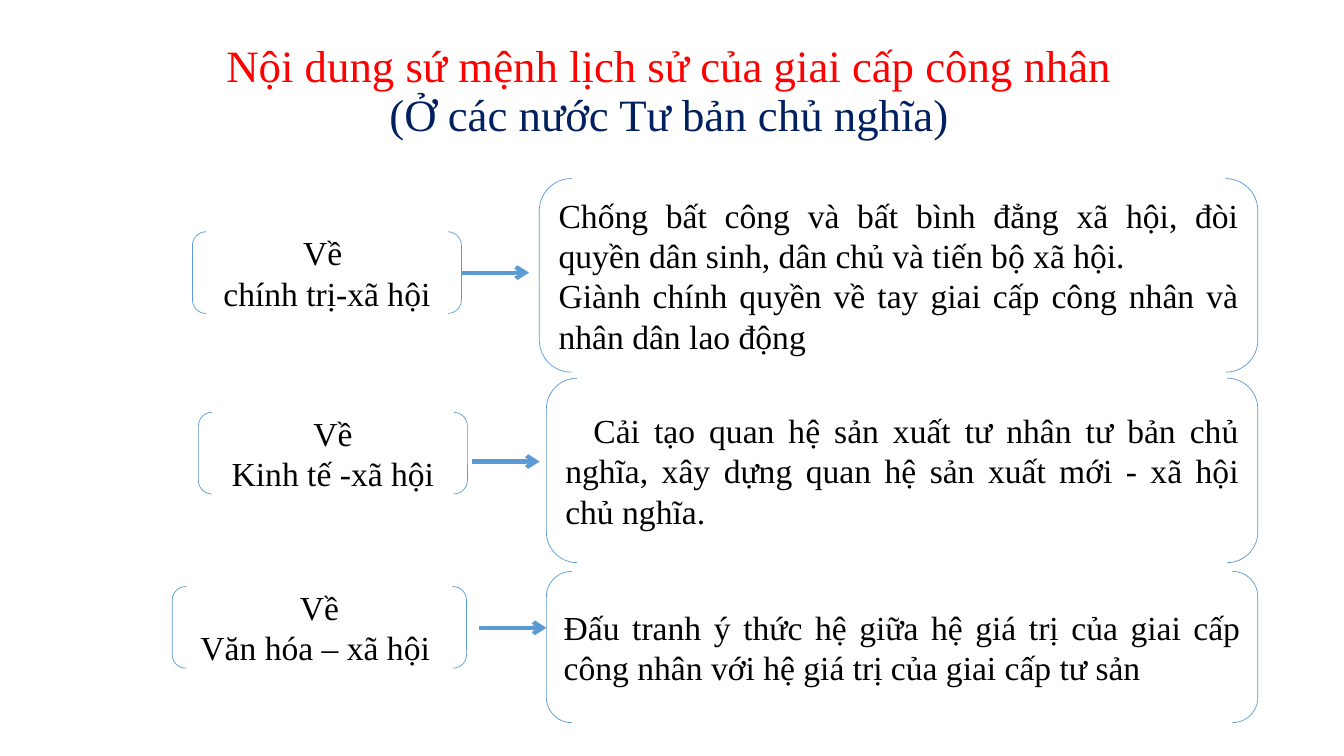
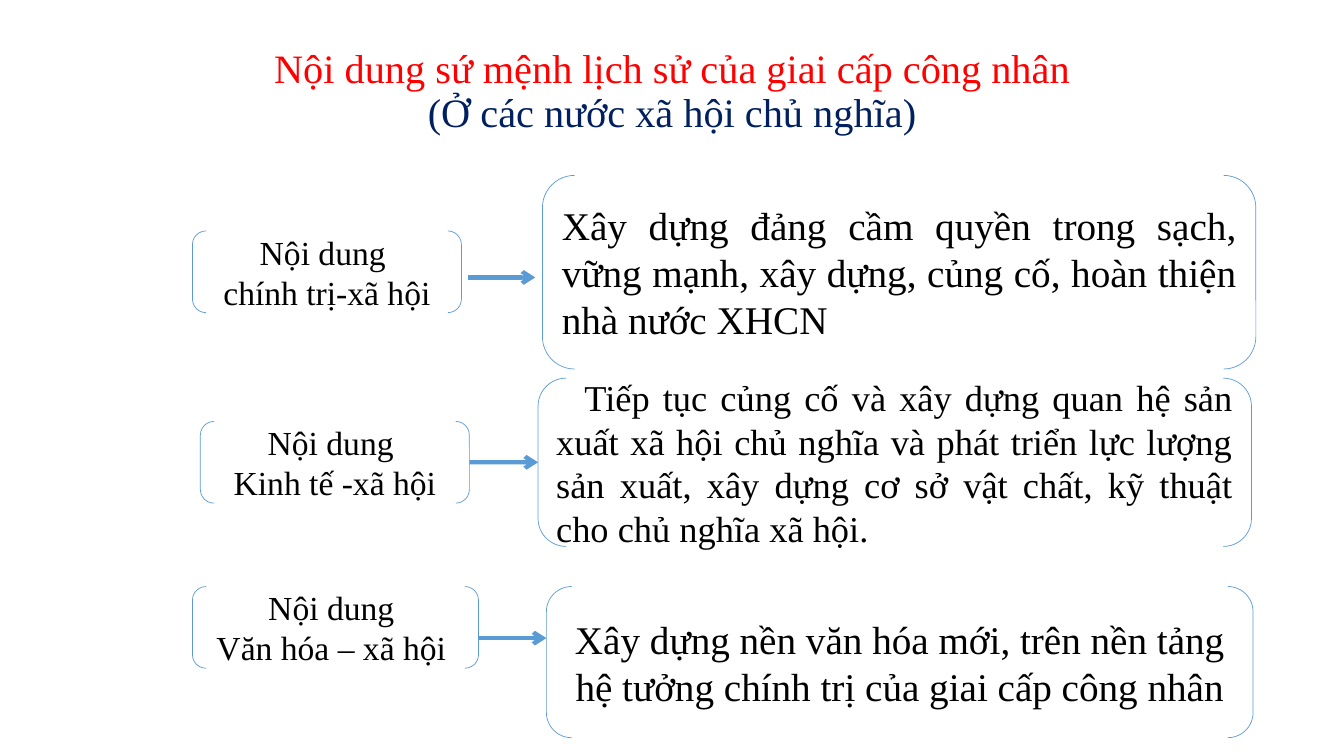
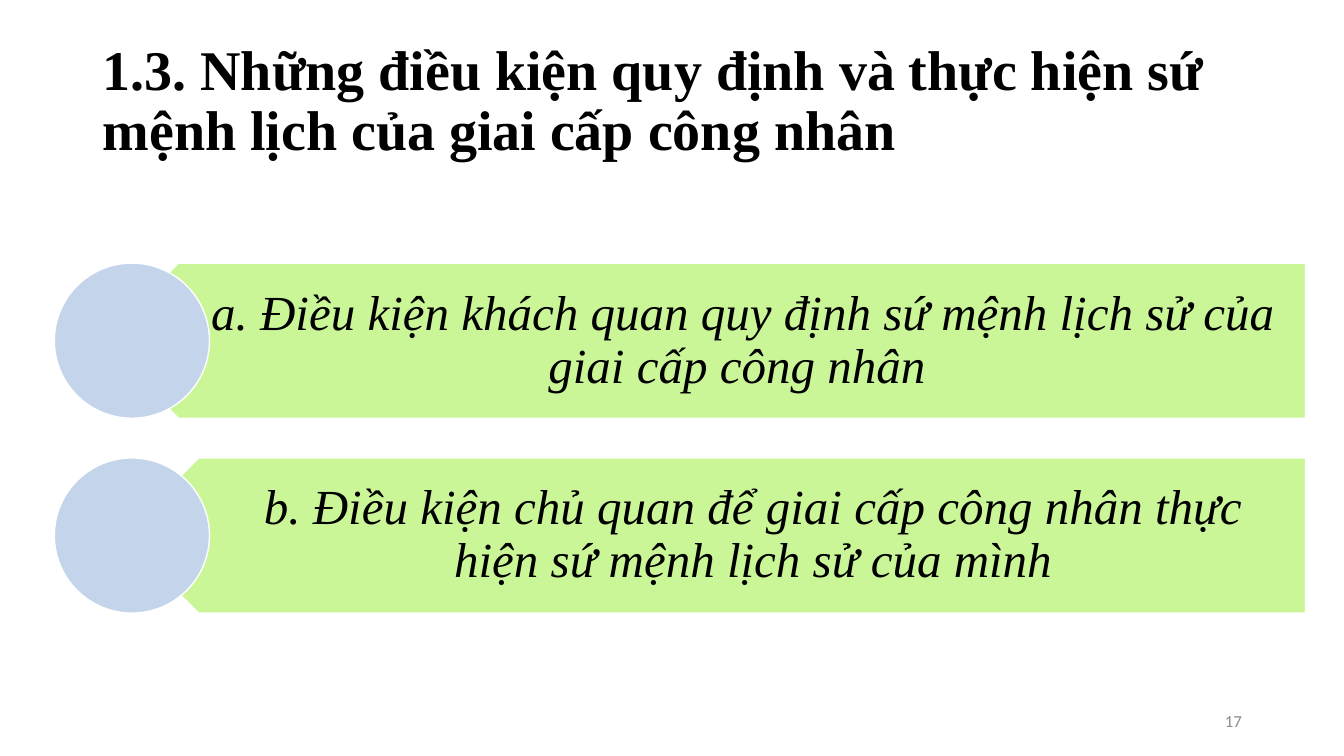
from itertools import zip_longest

from pptx import Presentation
from pptx.dml.color import RGBColor
from pptx.enum.shapes import MSO_CONNECTOR, MSO_SHAPE
from pptx.enum.text import MSO_ANCHOR, PP_ALIGN
from pptx.oxml.ns import qn
from pptx.util import Cm, Pt
from lxml import etree

RED = RGBColor(0xFF, 0x00, 0x00)
NAVY = RGBColor(0x00, 0x20, 0x60)
BLACK = RGBColor(0x00, 0x00, 0x00)
BLUE = RGBColor(0x5B, 0x9B, 0xD5)
GREEN = RGBColor(0xCB, 0xF6, 0x98)
PALE_BLUE = RGBColor(0xC4, 0xD5, 0xEB)
GRAY = RGBColor(0x8C, 0x8C, 0x8C)
WHITE = RGBColor(0xFF, 0xFF, 0xFF)

SERIF = "Times New Roman"
LABEL_HEIGHT = 2.06
ARROW_LENGTH = 1.7
TOLERANCE = 0.1
BAND_RIGHT = 32.9
BAND_HEIGHT = 3.91
MISSION = "Nội dung sứ mệnh lịch sử của giai cấp công nhân"


def write(frame, text, *, size=24, colors=(BLACK,), font=SERIF, bold=False, italic=False,
          align=PP_ALIGN.CENTER, spacing=1.0, indent=0, insets=None):
    frame.word_wrap = True
    frame.vertical_anchor = MSO_ANCHOR.MIDDLE
    if insets:
        frame.margin_left, frame.margin_top, frame.margin_right, frame.margin_bottom = map(Cm, insets)
    for number, content in enumerate(text.split("\n")):
        paragraph = frame.add_paragraph() if number else frame.paragraphs[0]
        paragraph.alignment = align
        paragraph.line_spacing = spacing
        if indent:
            paragraph._p.get_or_add_pPr().set("indent", str(Cm(indent)))
        lines = content.split("\v")
        for position, (line, color) in enumerate(zip_longest(lines, colors, fillvalue=colors[-1])):
            if position:
                paragraph.add_line_break()
            run = paragraph.add_run()
            run.text = line
            run.font.name = font
            run.font.size = Pt(size)
            run.font.bold = bold
            run.font.italic = italic
            run.font.color.rgb = color


def near(first, second):
    return abs(first - second) < TOLERANCE


class Deck:
    def __init__(self):
        self.presentation = Presentation()
        self.presentation.slide_width = Cm(33.87)
        self.presentation.slide_height = Cm(19.05)
        self.slide = None

    def new_slide(self):
        self.slide = self.presentation.slides.add_slide(self.presentation.slide_layouts[6])

    def text(self, area, content, **style):
        box = self.slide.shapes.add_textbox(*map(Cm, area))
        write(box.text_frame, content, **style)

    def title(self, area, content, **style):
        self.text(area, content, spacing=0.9, **style)

    def shape(self, preset, area, line, width, fill=None):
        outline = self.slide.shapes.add_shape(preset, *map(Cm, area))
        outline.shadow.inherit = False
        outline.line.color.rgb = line
        outline.line.width = Pt(width)
        if fill is None:
            outline.fill.background()
        else:
            outline.fill.solid()
            outline.fill.fore_color.rgb = fill
        return outline

    def bracket(self, area, content, **style):
        pair = self.shape(MSO_SHAPE.DOUBLE_BRACKET, area, BLUE, 0.5)
        write(pair.text_frame, content, **style)
        return pair

    def arrow(self, start, y, source, target):
        end = start + ARROW_LENGTH
        source_middle = (source.top + source.height / 2) / Cm(1)
        target_middle = (target.top + target.height / 2) / Cm(1)
        leaves = near(start, (source.left + source.width) / Cm(1)) and near(y, source_middle)
        arrives = near(end, target.left / Cm(1)) and near(y, target_middle)
        if leaves:
            y = source_middle
        link = self.slide.shapes.add_connector(MSO_CONNECTOR.STRAIGHT, Cm(start), Cm(y), Cm(end), Cm(y))
        link.line.color.rgb = BLUE
        link.line.width = Pt(3)
        etree.SubElement(link.line._get_or_add_ln(), qn("a:tailEnd"), type="arrow")
        etree.SubElement(link._element.spPr, qn("a:effectLst"))
        if leaves:
            link.begin_connect(source, 3)
        if arrives:
            link.end_connect(target, 1)

    def mission(self, title_area, title_size, country, rows):
        self.new_slide()
        self.title(title_area, f"{MISSION}\v({country})", size=title_size, colors=(RED, NAVY))
        for (left, top, width), topic, area, content, style, (start, y) in rows:
            label = self.bracket((left, top, width, LABEL_HEIGHT), topic)
            detail = self.bracket(area, content, **{"align": PP_ALIGN.JUSTIFY, **style})
            self.arrow(start, y, label, detail)

    def band(self, left, top, content):
        plate = self.shape(MSO_SHAPE.PENTAGON, (left, top, BAND_RIGHT - left, BAND_HEIGHT), WHITE, 1, GREEN)
        plate.rotation = 180
        text_left = left + 0.98
        self.text((text_left, top, BAND_RIGHT - text_left, BAND_HEIGHT), content, size=35,
                  italic=True, spacing=0.9, insets=(1.73, 0.38, 0.69, 0.38))
        self.shape(MSO_SHAPE.OVAL, (1.37, top, BAND_HEIGHT, BAND_HEIGHT), WHITE, 1, PALE_BLUE)


def main():
    deck = Deck()

    deck.mission((3.15, 0.74, 27.43, 3.18), 32, "Ở các nước Tư bản chủ nghĩa", [
        ((4.85, 5.84, 6.78), "Về \nchính trị-xã hội", (13.59, 4.5, 18.11, 4.88),
         "Chống bất công và bất bình đẳng xã hội, đòi quyền dân sinh, dân chủ và tiến bộ xã hội. \n"
         "Giành chính quyền về tay giai cấp công nhân và nhân dân lao động",
         {}, (11.63, 6.93)),
        ((5, 10.39, 6.78), "Về\nKinh tế -xã hội", (13.77, 9.53, 17.93, 4.65),
         "Cải tạo quan hệ sản xuất tư nhân tư bản chủ nghĩa, xây dựng quan hệ sản xuất mới"
         " - xã hội chủ nghĩa.",
         {"indent": 0.71}, (11.9, 11.63)),
        ((4.34, 14.78, 7.42), "Về\nVăn hóa – xã hội ", (13.77, 14.4, 17.93, 3.81),
         "Đấu tranh ý thức hệ giữa hệ giá trị của giai cấp công nhân với hệ giá trị"
         " của giai cấp tư sản",
         {}, (12.07, 15.82)),
    ])

    deck.mission((5.51, 0.74, 22.86, 3.18), 28.8, "Ở các nước xã hội chủ nghĩa", [
        ((4.85, 5.82, 6.78), "Nội dung \nchính trị-xã hội", (13.67, 4.42, 17.98, 4.88),
         "Xây dựng đảng cầm quyền trong sạch, vững mạnh, xây dựng, củng cố, hoàn thiện"
         " nhà nước XHCN",
         {"size": 28}, (11.79, 6.99)),
        ((5.05, 10.62, 6.78), "Nội dung \nKinh tế -xã hội", (13.56, 9.53, 17.98, 4.24),
         "Tiếp tục củng cố và xây dựng quan hệ sản xuất xã hội chủ nghĩa và phát triển"
         " lực lượng sản xuất, xây dựng cơ sở vật chất, kỹ thuật cho chủ nghĩa xã hội.",
         {"size": 26, "indent": 0.71}, (11.86, 11.66)),
        ((4.85, 14.78, 7.21), "Nội dung \nVăn hóa – xã hội ", (13.77, 14.78, 17.81, 3.81),
         "Xây dựng nền văn hóa mới, trên nền tảng hệ tưởng chính trị của giai cấp công nhân",
         {"size": 28, "align": PP_ALIGN.CENTER}, (12.07, 16.08)),
    ])

    deck.new_slide()
    deck.title((2.34, 0.74, 29.21, 3.68),
               "1.3. Những điều kiện quy định và thực hiện sứ mệnh lịch của giai cấp công nhân",
               size=40, bold=True, align=PP_ALIGN.LEFT)
    deck.band(2.54, 6.63, "a. Điều kiện khách quan quy định sứ mệnh lịch sử của giai cấp công nhân ")
    deck.band(3.05, 11.54, "b. Điều kiện chủ quan để giai cấp công nhân thực hiện sứ mệnh lịch sử của mình")
    deck.text((23.93, 17.65, 7.62, 1.02), "17", size=12, font="Calibri", colors=(GRAY,),
              align=PP_ALIGN.RIGHT)

    deck.presentation.save("out.pptx")


if __name__ == "__main__":
    main()
